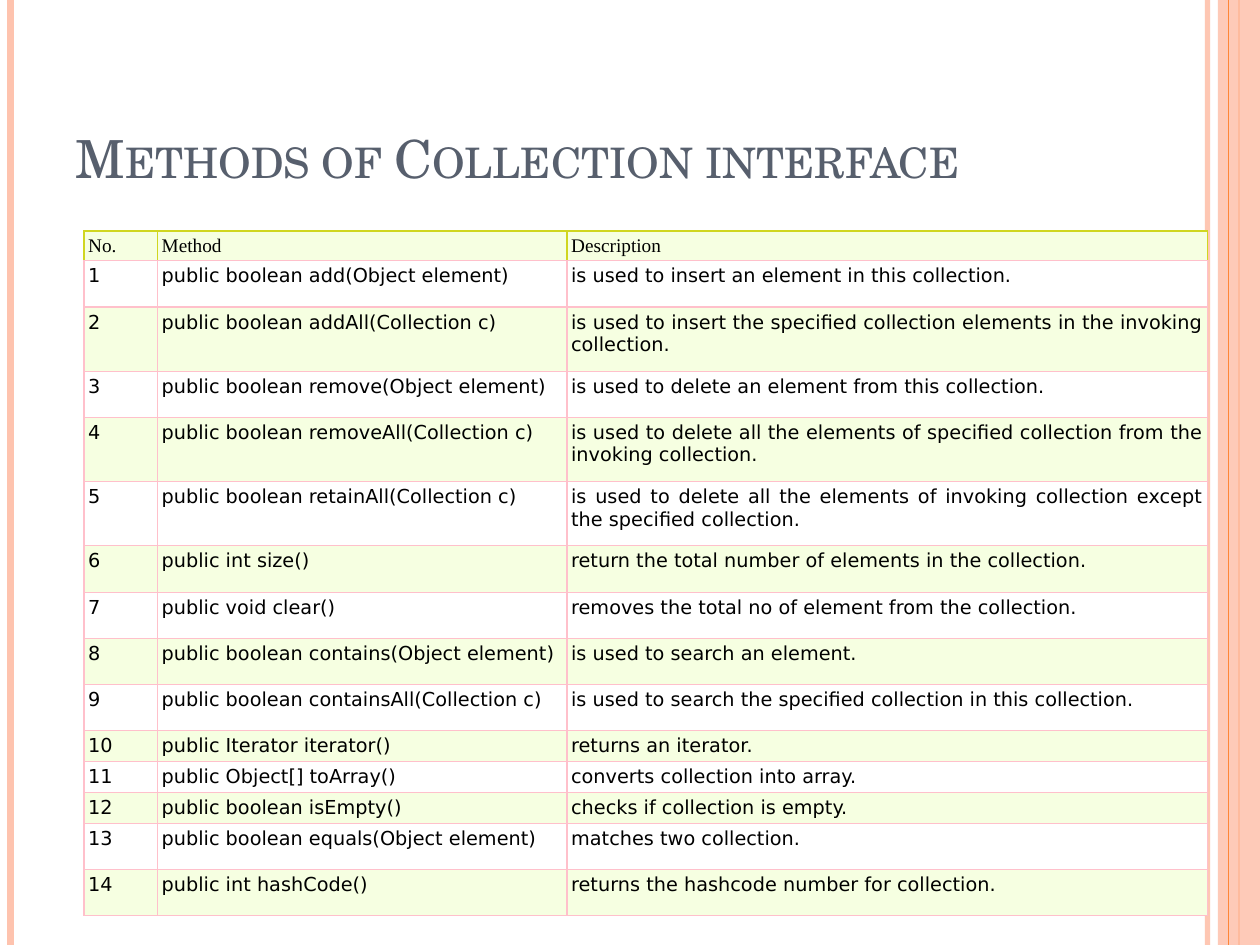
import pptx
import pptx.dml.color
import pptx.enum.shapes
import pptx.enum.text
import pptx.oxml
import pptx.oxml.ns
import pptx.util

METHODS = [
    ("public boolean add(Object element)", "is used to insert an element in this collection."),
    ("public boolean addAll(Collection c)",
     "is used to insert the specified collection elements in the invoking collection."),
    ("public boolean remove(Object element)", "is used to delete an element from this collection."),
    ("public boolean removeAll(Collection c)",
     "is used to delete all the elements of specified collection from the invoking collection."),
    ("public boolean retainAll(Collection c)",
     "is used to delete all the elements of invoking collection except the specified collection."),
    ("public int size()", "return the total number of elements in the collection."),
    ("public void clear()", "removes the total no of element from the collection."),
    ("public boolean contains(Object element)", "is used to search an element."),
    ("public boolean containsAll(Collection c)",
     "is used to search the specified collection in this collection."),
    ("public Iterator iterator()", "returns an iterator."),
    ("public Object[] toArray()", "converts collection into array."),
    ("public boolean isEmpty()", "checks if collection is empty."),
    ("public boolean equals(Object element)", "matches two collection."),
    ("public int hashCode()", "returns the hashcode number for collection."),
]
SHORT, MEDIUM, TALL = 2.64, 4.4, 6.12
ROW_HEIGHTS = [SHORT, MEDIUM, TALL, MEDIUM, TALL, TALL] + [MEDIUM] * 4 + [SHORT] * 3 + [MEDIUM] * 2


def rgb(code):
    return pptx.dml.color.RGBColor.from_string(code)


def grid(units):
    return pptx.util.Inches(units / 12)


def element(tag):
    return pptx.oxml.parse_xml(f"<{tag} {pptx.oxml.ns.nsdecls('a')}/>")


def set_opacity(properties, percent):
    for colour in properties.iter(pptx.oxml.ns.qn("a:srgbClr")):
        alpha = element("a:alpha")
        alpha.set("val", str(percent * 1000))
        colour.append(alpha)


class MethodSlide:
    """Style and current slide, measured on a grid of 120 columns by 90 rows."""

    columns, rows = 120, 90
    orange, peach, slate, black = "FE8637", "FEC3AE", "575F6D", "000000"
    pink, lime, tint, white = "FFC0CB", "D0D620", "F6FFE1", "FFFFFF"
    title_font, header_font, body_font = "TeX Gyre Schola", "Times New Roman", "DejaVu Sans"

    def __init__(self, deck):
        deck.slide_width, deck.slide_height = grid(self.columns), grid(self.rows)
        self.slide = deck.slides.add_slide(deck.slide_layouts[5])

    def font(self, paragraph, name, size, colour):
        for run in paragraph.runs:
            run.font.name, run.font.size, run.font.bold = name, pptx.util.Pt(size), False
            run.font.color.rgb = rgb(colour)

    def rule(self, column, colour, width, opacity=100):
        stripe = self.slide.shapes.add_connector(
            pptx.enum.shapes.MSO_CONNECTOR.STRAIGHT, grid(column), 0, grid(column), grid(self.rows))
        stripe.line.color.rgb = rgb(colour)
        stripe.line.width = pptx.util.Pt(width)
        properties = stripe._element.spPr
        properties.append(element("a:effectLst"))
        if opacity < 100:
            set_opacity(properties, opacity)

    def band(self, column, width, colour, opacity):
        margin = self.slide.shapes.add_shape(
            pptx.enum.shapes.MSO_SHAPE.RECTANGLE, grid(column), 0, grid(width), grid(self.rows))
        margin.shadow.inherit = False
        margin.fill.solid()
        margin.fill.fore_color.rgb = rgb(colour)
        margin.line.fill.background()
        set_opacity(margin._element.spPr, opacity)

    def title(self, wording, left, top, width, height):
        heading = self.slide.shapes.title
        heading.left, heading.top = grid(left), grid(top)
        heading.width, heading.height = grid(width), grid(height)
        frame = heading.text_frame
        frame.text = wording
        frame.word_wrap = True
        frame.auto_size = pptx.enum.text.MSO_AUTO_SIZE.NONE
        frame.vertical_anchor = pptx.enum.text.MSO_ANCHOR.BOTTOM
        paragraph = frame.paragraphs[0]
        paragraph.alignment = pptx.enum.text.PP_ALIGN.LEFT
        self.font(paragraph, self.title_font, 30, self.slate)
        for run in paragraph.runs:
            run.font._element.set("cap", "small")

    def borders(self, cell, **colours):
        properties = cell._tc.get_or_add_tcPr()
        for side in "LRTB":
            edge = element(f"a:ln{side}")
            edge.set("w", str(pptx.util.Pt(0.75)))
            fill, colour = element("a:solidFill"), element("a:srgbClr")
            colour.set("val", colours.get(side, self.pink))
            fill.append(colour)
            edge.append(fill)
            properties.append(edge)

    def cell(self, cell, wording, header, fill):
        cell.text_frame.text = wording
        cell.margin_left = cell.margin_right = cell.margin_top = cell.margin_bottom = grid(0.4)
        paragraph = cell.text_frame.paragraphs[0]
        align = pptx.enum.text.PP_ALIGN
        paragraph.alignment = align.LEFT if header else align.JUSTIFY
        self.font(paragraph, self.header_font if header else self.body_font, 11, self.black)
        self.borders(cell, **(dict.fromkeys("LRT", self.lime) if header else {}))
        cell.fill.solid()
        cell.fill.fore_color.rgb = rgb(fill)

    def table(self, records, left, top, widths, heights):
        table = self.slide.shapes.add_table(
            len(records), len(widths), grid(left), grid(top),
            grid(sum(widths)), grid(sum(heights))).table
        table.horz_banding = False
        for column, width in zip(table.columns, widths):
            column.width = grid(width)
        for number, (row, height, record) in enumerate(zip(table.rows, heights, records)):
            row.height = grid(height)
            for cell, wording in zip(row.cells, record):
                self.cell(cell, wording, number == 0, self.white if number % 2 else self.tint)


def main():
    deck = pptx.Presentation()
    page = MethodSlide(deck)
    page.rule(115, page.peach, 3, opacity=93)
    page.rule(1, page.peach, 4.5)
    page.rule(118, page.orange, 1.5)
    page.band(116, 4, page.peach, opacity=87)
    page.rule(117, page.orange, 0.75)
    page.title("Methods of Collection interface", 6, 3.6, 98, 15)
    numbered = [(str(number), *method) for number, method in enumerate(METHODS, 1)]
    page.table([("No.", "Method", "Description")] + numbered, 8, 22, (7, 39, 61), ROW_HEIGHTS)
    deck.save("out.pptx")


if __name__ == "__main__":
    main()
